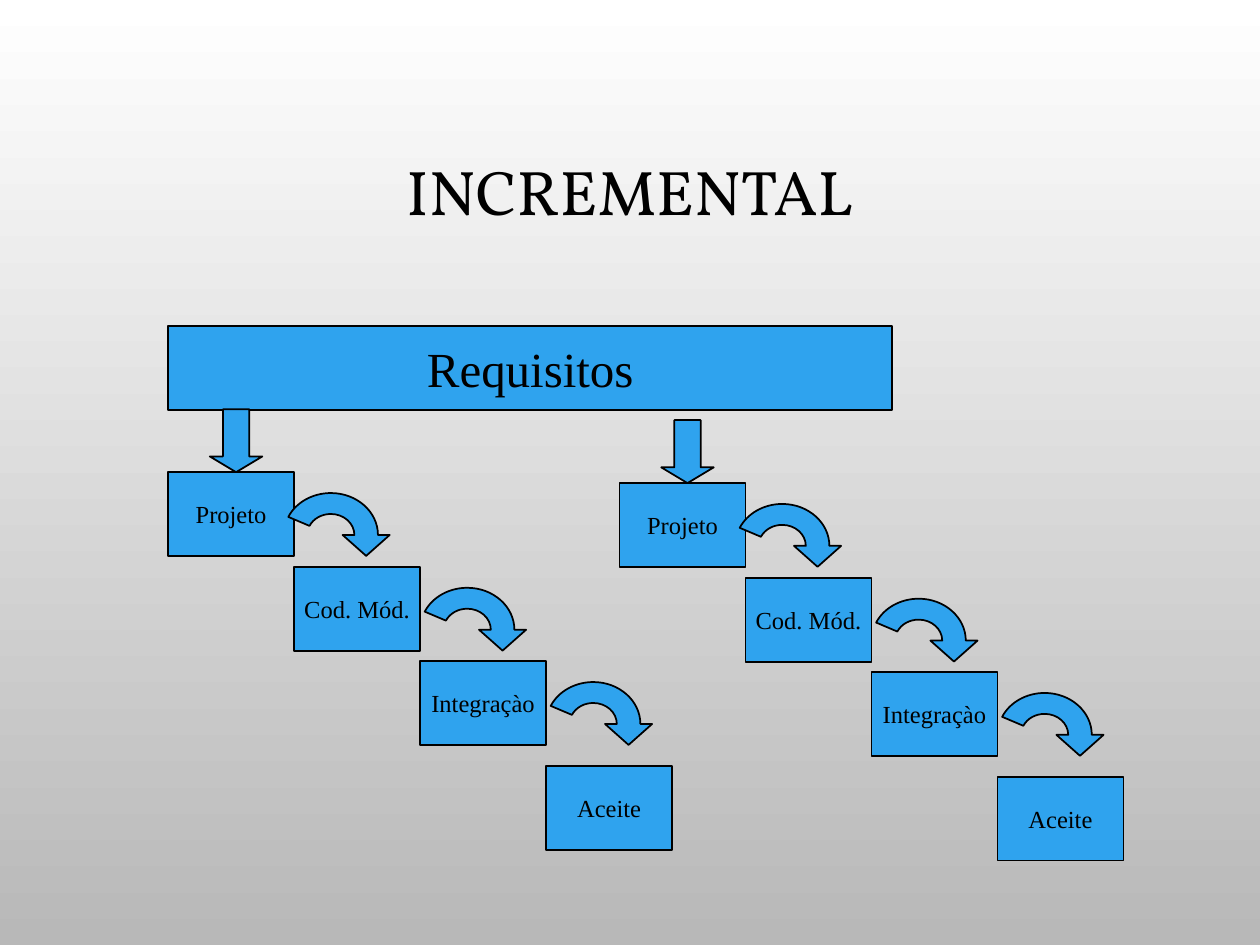
"""Build the incremental life-cycle slide."""
from dataclasses import dataclass

import lxml.etree
import pptx
import pptx.dml.color
import pptx.enum.shapes
import pptx.enum.text
import pptx.oxml.ns
import pptx.util

Cm = pptx.util.Cm
SHAPE = pptx.enum.shapes.MSO_SHAPE
qn = pptx.oxml.ns.qn

GRID = 1000
ARCHED_ARROW = (
    ("moveTo", [(750, 500)]),
    ("cubicBezTo", [(750, 362), (638, 250), (500, 250)]),
    ("cubicBezTo", [(403, 250), (316, 305), (274, 392)]),
    ("lnTo", [(49, 285)]),
    ("cubicBezTo", [(131, 111), (307, 0), (500, 0)]),
    ("cubicBezTo", [(776, 0), (1000, 224), (1000, 500)]),
    ("lnTo", [(1125, 500)]),
    ("lnTo", [(875, 750)]),
    ("lnTo", [(625, 500)]),
    ("lnTo", [(750, 500)]),
    ("close", []),
)


def rgb(value):
    """Return a colour from its hexadecimal text."""
    return pptx.dml.color.RGBColor.from_string(value)


@dataclass(frozen=True)
class Theme:
    """Colours, fonts and sizes of the slide."""
    fill: str = "2FA3EE"
    ink: str = "000000"
    bg_top: str = "FFFFFF"
    bg_bottom: str = "B8B8B8"
    title_font: str = "Vollkorn"
    body_font: str = "Times New Roman"
    title_size: int = 36
    bar_size: int = 28
    step_size: int = 14
    line_width: int = 1


def write_text(sp, text, *, font, size, color, wrap=False, spacing=None):
    """Put one centred paragraph in the middle of a shape."""
    tf = sp.text_frame
    tf.word_wrap = wrap
    tf.vertical_anchor = pptx.enum.text.MSO_ANCHOR.MIDDLE
    p = tf.paragraphs[0]
    p.alignment = pptx.enum.text.PP_ALIGN.CENTER
    p.line_spacing = spacing
    r = p.add_run()
    r.text = text
    r.font.name = font
    r.font.size = pptx.util.Pt(size)
    r.font.color.rgb = rgb(color)


class SlideBuilder:
    """Draw the elements of one slide in a shared style."""

    def __init__(self, slide, theme):
        """Keep the slide and its theme."""
        self.s = slide
        self.theme = theme

    def background(self):
        """Fill the background with a vertical gradient."""
        fill = self.s.background.fill
        fill.gradient()
        fill.gradient_angle = 270
        colors = (self.theme.bg_top, self.theme.bg_bottom)
        for stop, color in zip(fill.gradient_stops, colors):
            stop.color.rgb = rgb(color)

    def paint(self, sp):
        """Apply the common fill and outline."""
        sp.shadow.inherit = False
        sp.fill.solid()
        sp.fill.fore_color.rgb = rgb(self.theme.fill)
        sp.line.color.rgb = rgb(self.theme.ink)
        sp.line.width = pptx.util.Pt(self.theme.line_width)

    def title(self, text, x, y, w, h):
        """Add the slide title."""
        sp = self.s.shapes.add_textbox(Cm(x), Cm(y), Cm(w), Cm(h))
        write_text(sp, text, font=self.theme.title_font, size=self.theme.title_size,
                   color=self.theme.ink, wrap=True, spacing=0.9)

    def box(self, text, x, y, w, h, size):
        """Add a labelled rectangle."""
        sp = self.s.shapes.add_shape(SHAPE.RECTANGLE, Cm(x), Cm(y), Cm(w), Cm(h))
        self.paint(sp)
        write_text(sp, text, font=self.theme.body_font, size=size, color=self.theme.ink)

    def down_arrow(self, x, y, w, h):
        """Add a block arrow pointing down."""
        sp = self.s.shapes.add_shape(SHAPE.DOWN_ARROW, Cm(x), Cm(y), Cm(w), Cm(h))
        sp.adjustments[0] = 0.5
        sp.adjustments[1] = 0.3
        self.paint(sp)

    def curved_arrow(self, x, y, w, h):
        """Add an arched arrow with Bézier sides, drawn on the grid of its frame."""
        fb = self.s.shapes.build_freeform(Cm(x), Cm(y))
        fb.add_line_segments([(Cm(x + w), Cm(y + h))])
        sp = fb.convert_to_shape()
        outline = next(sp.element.iter(qn("a:path")))
        for child in list(outline):
            outline.remove(child)
        outline.set("w", str(GRID))
        outline.set("h", str(GRID))
        for command, points in ARCHED_ARROW:
            step = lxml.etree.SubElement(outline, qn("a:" + command))
            for px, py in points:
                lxml.etree.SubElement(step, qn("a:pt"), x=str(px), y=str(py))
        self.paint(sp)

    def increment(self, x, y):
        """Add one increment: entry arrow, four steps and the links between them."""
        steps = (("Projeto", 0), ("Cod. Mód.", 1.91), ("Integraçào", 3.81), ("Aceite", 5.92))
        for i, (label, dy) in enumerate(steps):
            self.box(label, x + 2.54 * i, y + dy, 2.54, 1.69, self.theme.step_size)
        for dx, dy in ((2.33, 0.42), (5.08, 2.33), (7.62, 4.23)):
            self.curved_arrow(x + dx, y + dy, 1.9, 1.69)
        self.down_arrow(x + 0.84, y - 1.27, 1.06, 1.27)


def main():
    """Create and save the presentation."""
    prs = pptx.Presentation()
    prs.slide_width, prs.slide_height = Cm(25.4), Cm(19.05)
    theme = Theme()
    builder = SlideBuilder(prs.slides.add_slide(prs.slide_layouts[6]), theme)
    builder.background()
    builder.title("INCREMENTAL", 1.9, 1.72, 21.59, 4.42)
    builder.box("Requisitos", 3.39, 6.57, 14.6, 1.69, theme.bar_size)
    for x, y in ((3.39, 9.52), (12.49, 9.74)):
        builder.increment(x, y)
    prs.save("out.pptx")


if __name__ == "__main__":
    main()
